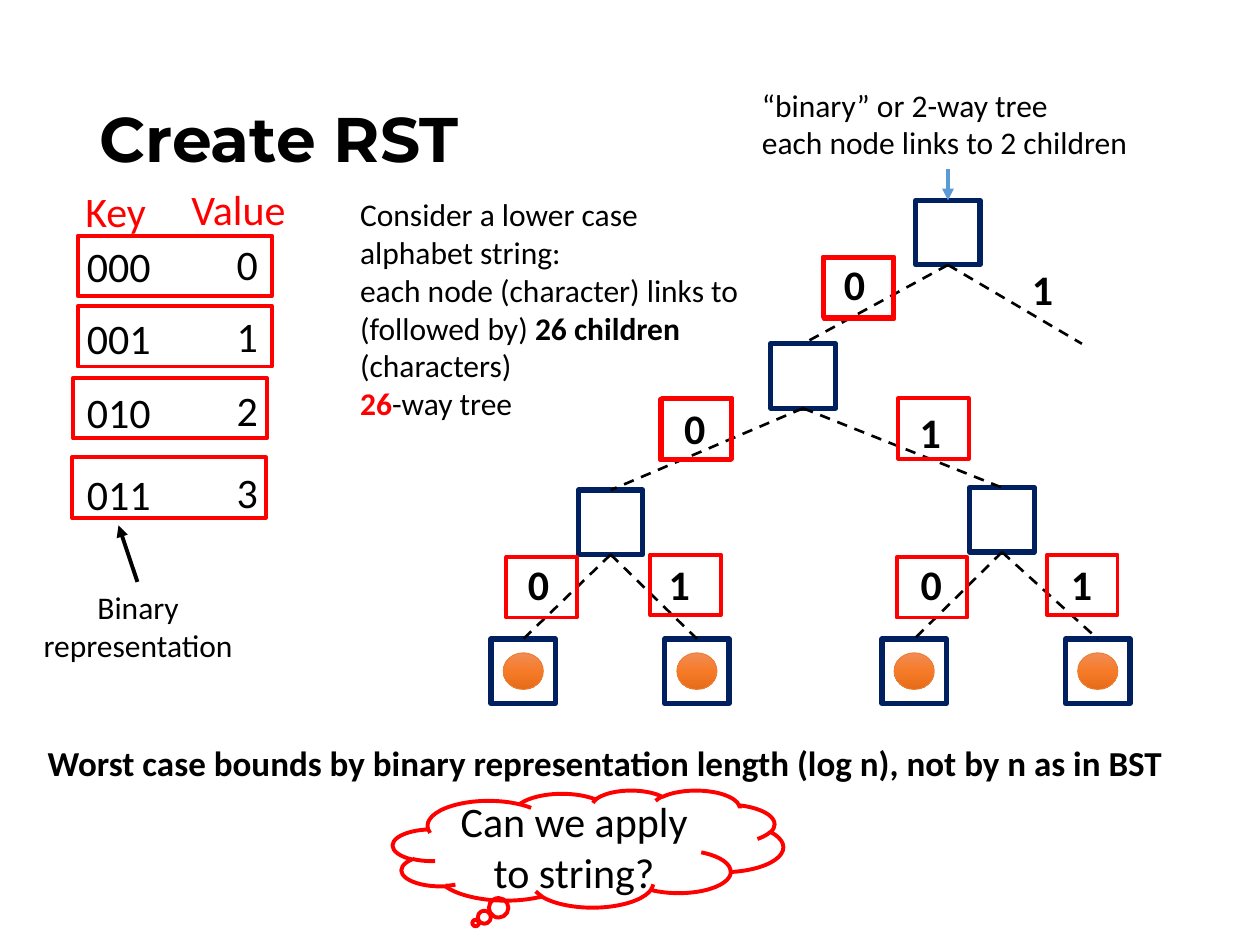
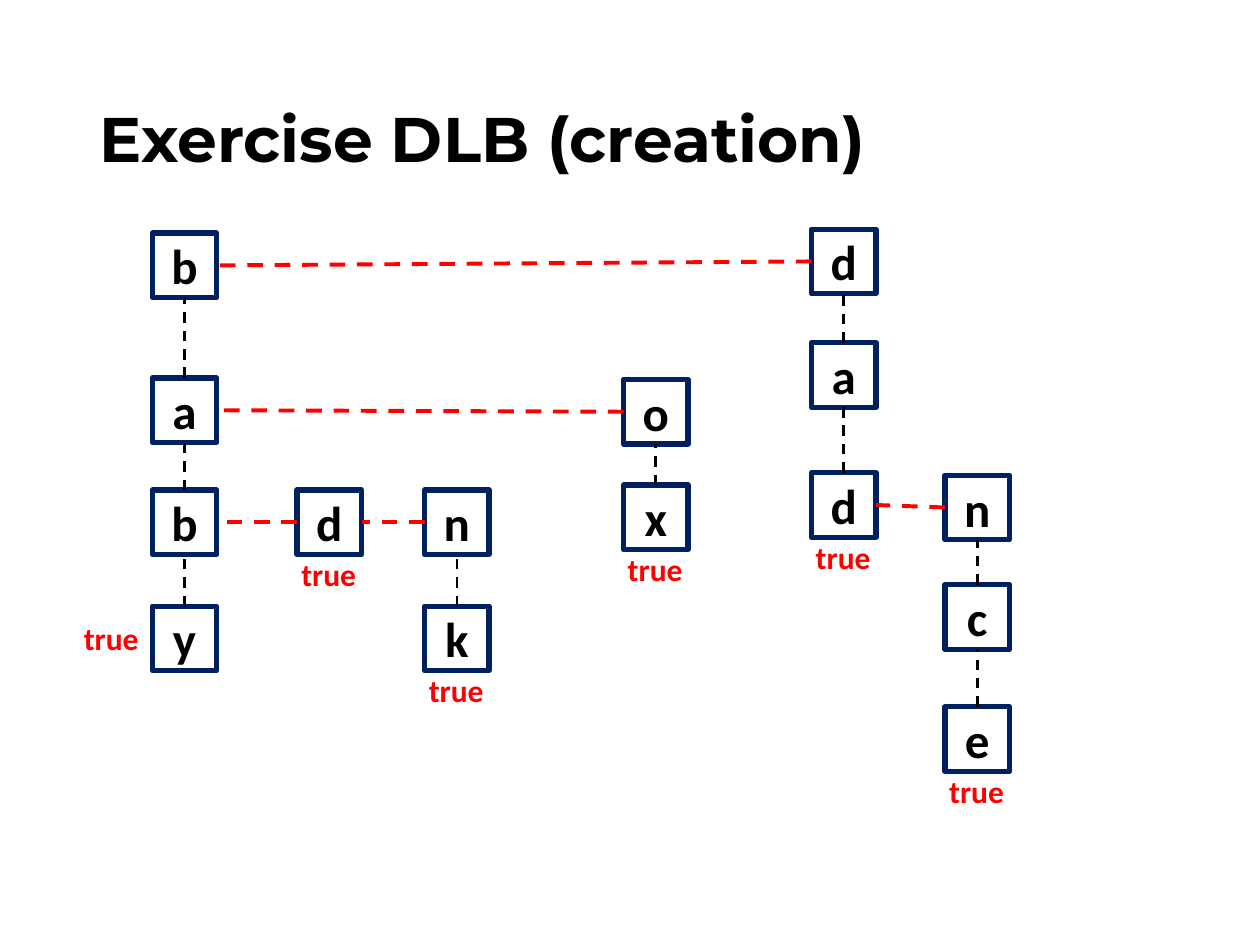
"""Build two slides on radix search trees: a binary RST and a DLB exercise."""
import copy

import pptx
import pptx.dml.color
import pptx.enum.dml
import pptx.enum.shapes
import pptx.enum.text
import pptx.oxml
import pptx.oxml.ns
import pptx.util

Cm = pptx.util.Cm
Pt = pptx.util.Pt
SHAPES = pptx.enum.shapes.MSO_SHAPE
ALIGN = pptx.enum.text.PP_ALIGN
ANCHOR = pptx.enum.text.MSO_ANCHOR

BLACK, RED, NAVY, BLUE, ORANGE = "000000", "FF0000", "002060", "5B9BD5", "ED7D31"
DOT_STOPS = [(0, "F18C57"), (0.5, "F67B28"), (1, "E56C19")]
BODY_FONT, TITLE_FONT = "Calibri", "Montserrat"
NODE = 1.3            # side of a tree node, cm
LINE_HEIGHT = 1.27    # height of a 24 pt text box, cm
DIGIT = 0.94          # width of a one-digit text box, cm


def colour(code):
    """Turn a hex string into a colour."""
    return pptx.dml.color.RGBColor.from_string(code)


def style(font, size, code=BLACK, bold=False, name=BODY_FONT):
    """Set face, size, colour and weight of a font."""
    font.name, font.size, font.bold = name, Pt(size), bold
    font.color.rgb = colour(code)


def add_page(deck, title):
    """Add a title-only page with the shared title style."""
    page = deck.slides.add_slide(deck.slide_layouts[5])
    box = page.shapes.title
    box.left, box.top, box.width, box.height = Cm(1.75), Cm(1.02), Cm(21.9), Cm(3.68)
    box.text_frame.text = title
    box.text_frame.vertical_anchor = ANCHOR.MIDDLE
    para = box.text_frame.paragraphs[0]
    para.alignment, para.line_spacing = ALIGN.LEFT, 0.9
    style(para.font, 36, bold=True, name=TITLE_FONT)
    return page


def add_text(page, left, top, width, height, lines, size=24, code=BLACK,
             bold=False, wrap=False, align=ALIGN.LEFT):
    """Add a text box; a line is a string or a list of (text, colour, bold)."""
    box = page.shapes.add_textbox(Cm(left), Cm(top), Cm(width), Cm(height))
    frame = box.text_frame
    frame.word_wrap = wrap
    frame.auto_size = pptx.enum.text.MSO_AUTO_SIZE.SHAPE_TO_FIT_TEXT
    for index, line in enumerate(lines):
        para = frame.add_paragraph() if index else frame.paragraphs[0]
        para.alignment = align
        if isinstance(line, str):
            para.add_run().text = line
            style(para.font, size, code, bold)
            continue
        for text, span_code, span_bold in line:
            span = para.add_run()
            span.text = text
            style(span.font, size, span_code, span_bold)


def add_outline(page, left, top, width, height, code, weight, kind=SHAPES.RECTANGLE,
                text="", size=24, bold=False):
    """Add an unfilled shape with a coloured outline and optional centred text."""
    shape = page.shapes.add_shape(kind, Cm(left), Cm(top), Cm(width), Cm(height))
    shape.shadow.inherit = False
    shape.fill.background()
    shape.line.color.rgb = colour(code)
    shape.line.width = Pt(weight)
    if text:
        shape.text_frame.text = text
        shape.text_frame.vertical_anchor = ANCHOR.MIDDLE
        para = shape.text_frame.paragraphs[0]
        para.alignment = ALIGN.CENTER
        style(para.font, size, bold=bold)
    return shape


def add_node(page, left, top, text=""):
    """Add a square tree node."""
    return add_outline(page, left, top, NODE, NODE, NAVY, 3, text=text, size=28, bold=True)


def add_frame(page, left, top, width):
    """Add a red highlight frame."""
    return add_outline(page, left, top, width, 1.22, RED, 2.25)


def add_line(page, start, end, code=BLACK, weight=1.5, arrow=False):
    """Add a dashed link, or a solid arrow pointing at its end."""
    line = page.shapes.add_connector(pptx.enum.shapes.MSO_CONNECTOR.STRAIGHT,
                                     *(Cm(value) for value in (*start, *end)))
    line.line.color.rgb = colour(code)
    line.line.width = Pt(weight)
    properties = line._element.spPr
    if arrow:
        tail = pptx.oxml.parse_xml(
            f'<a:tailEnd {pptx.oxml.ns.nsdecls("a")} type="triangle"/>')
        line.line._get_or_add_ln().append(tail)
    else:
        line.line.dash_style = pptx.enum.dml.MSO_LINE.DASH
    properties.append(pptx.oxml.parse_xml(
        f'<a:effectLst {pptx.oxml.ns.nsdecls("a")}/>'))


def add_dot(page, left, top):
    """Add the orange value dot in the middle of a node."""
    width, height = 0.81, 0.74
    dot = add_outline(page, left + (NODE - width) / 2, top + (NODE - height) / 2,
                      width, height, ORANGE, 0.5, SHAPES.OVAL)
    dot.fill.gradient()
    dot.fill.gradient_angle = 270
    first = dot._element.spPr.find(".//" + pptx.oxml.ns.qn("a:gs"))
    first.addnext(copy.deepcopy(first))
    for stop, (position, code) in zip(dot.fill.gradient_stops, DOT_STOPS):
        stop.position = position
        stop.color.rgb = colour(code)


def draw_key_list(page, left, top):
    """Draw the framed key and value rows, with headings and a note on the keys."""
    add_text(page, left + 0.02, top + 0.03, 1.75, LINE_HEIGHT, ["Key"], code=RED)
    add_text(page, left + 2.16, top, 2.44, LINE_HEIGHT, ["Value"], code=RED)
    rows = [(1.14, 0.12, 1.17), (2.59, 0.12, 2.59), (4.09, 0.02, 4.04), (5.74, 0, 5.64)]
    for value, (key_top, frame_left, frame_top) in enumerate(rows):
        add_text(page, left + 0.05, top + key_top, 1.8, LINE_HEIGHT, [f"{value:03b}"])
        add_text(page, left + 3.07, top + key_top - 0.04, DIGIT, LINE_HEIGHT, [str(value)])
        add_frame(page, left + frame_left, top + frame_top, 3.91)
    add_text(page, left - 0.89, top + 8.15, 4.45, 1.8, ["Binary representation"],
             size=18, wrap=True, align=ALIGN.CENTER)
    add_line(page, (left + 1.32, top + 8.15), (left + 0.94, top + 7.01),
             weight=2.25, arrow=True)


def draw_binary_tree(page, left, top):
    """Draw the binary tree with its edge digits, highlights and value dots."""
    spots = {"": (8.56, 0), "0": (5.64, 2.89), "1": (11.26, 2.89),
             "00": (1.76, 5.84), "01": (9.65, 5.79),
             "000": (0, 8.84), "001": (3.5, 8.84), "010": (7.88, 8.84), "011": (11.58, 8.84)}
    digits = {"0": (6.86, 1.04), "1": (10.65, 1.14), "00": (3.64, 3.94), "01": (8.39, 4.04),
              "000": (0.49, 7.09), "001": (3.33, 7.09),
              "010": (8.41, 7.09), "011": (11.44, 7.09)}
    # Shared edges are highlighted once for each key that passes them.
    highlights = [(6.71, 1.17), (6.69, 1.14), (6.71, 1.14), (3.41, 4.01), (3.44, 3.99),
                  (8.21, 3.99), (0.31, 7.19), (3.21, 7.14), (8.18, 7.19), (11.21, 7.14)]
    for prefix, (x, y) in spots.items():
        if prefix != "1":                       # the right branch stays open
            add_node(page, left + x, top + y)
        if len(prefix) == 3:
            add_dot(page, left + x, top + y)
        if prefix:
            parent_x, parent_y = spots[prefix[:-1]]
            add_line(page, (left + parent_x + NODE / 2, top + parent_y + NODE),
                     (left + x + NODE / 2, top + y))
    for prefix, (x, y) in digits.items():
        add_text(page, left + x, top + y, DIGIT, LINE_HEIGHT, [prefix[-1]], bold=True)
    for x, y in highlights:
        add_frame(page, left + x, top + y, 1.42)
    add_text(page, left + 5.21, top - 2.44, 7.98, 1.8,
             ["“binary” or 2-way tree", "each node links to 2 children"], size=18)
    root_middle = left + spots[""][0] + NODE / 2
    add_line(page, (root_middle, top - 0.64), (root_middle, top), BLUE, 2.25, arrow=True)


def draw_conclusion(page, left, top):
    """Draw the worst-case statement and the question cloud below it."""
    add_text(page, left, top, 23.19, 1.12,
             ["Worst case bounds by binary representation length (log n), not by n as in BST"],
             size=20, bold=True)
    cloud = add_outline(page, left + 7.21, top + 1.1, 7.87, 2.36, RED, 2.25,
                        SHAPES.CLOUD_CALLOUT, "Can we apply to string?")
    cloud.adjustments[0], cloud.adjustments[1] = -0.288, 0.635


def draw_letter_tree(page, left, top):
    """Draw the DLB: columns of child links joined by red sibling links."""
    columns = [(0, [("b", 0.08), ("a", 3), ("b", 5.26), ("y", 7.6)]),
               (2.92, [("d", 5.26)]),
               (5.49, [("n", 5.26), ("k", 7.6)]),
               (9.5, [("o", 3.03), ("x", 5.16)]),
               (13.29, [("d", 0), ("a", 2.29), ("d", 4.91)]),
               (15.98, [("n", 4.96), ("c", 7.17), ("e", 9.63)])]
    siblings = [((0, 0), 4), ((0, 1), 3), ((0, 2), 1), ((1, 0), 2), ((4, 2), 5)]
    flag_width = 1.63
    for index, (x, nodes) in enumerate(columns):
        x += left
        for letter, y in nodes:
            add_node(page, x, top + y, letter)
        for (_, upper), (_, lower) in zip(nodes, nodes[1:]):
            add_line(page, (x + NODE / 2, top + lower), (x + NODE / 2, top + upper + NODE))
        last = top + nodes[-1][1]
        if index == 0:
            flag = (x - flag_width, last + 0.13)
        else:
            flag = (x + (NODE - flag_width) / 2, last + NODE - 0.11)
        add_text(page, *flag, flag_width, 1.02, ["true"], size=18, code=RED, bold=True)
    for (column, row), sibling in siblings:
        x, nodes = columns[column]
        next_x, next_nodes = columns[sibling]
        add_line(page, (left + next_x, top + next_nodes[0][1] + NODE / 2),
                 (left + x + NODE, top + nodes[row][1] + NODE / 2), RED, 2.25)


def main():
    """Build and save the deck."""
    deck = pptx.Presentation()
    deck.slide_width, deck.slide_height = Cm(25.4), Cm(19.05)

    page = add_page(deck, "Create RST")
    draw_key_list(page, 1.45, 3.58)
    draw_binary_tree(page, 9.9, 4.04)
    draw_conclusion(page, 0.71, 14.83)
    add_text(page, 7.01, 3.81, 8.28, 4.88, [
        "Consider a lower case alphabet string:",
        [("each node (character) links to (followed by) ", BLACK, False),
         ("26 children ", BLACK, True), ("(characters)", BLACK, False)],
        [("26", RED, True), ("-way tree", BLACK, False)]], size=18, wrap=True)

    page = add_page(deck, "Exercise DLB (creation)")
    draw_letter_tree(page, 3.07, 4.62)

    deck.save("out.pptx")


main()
